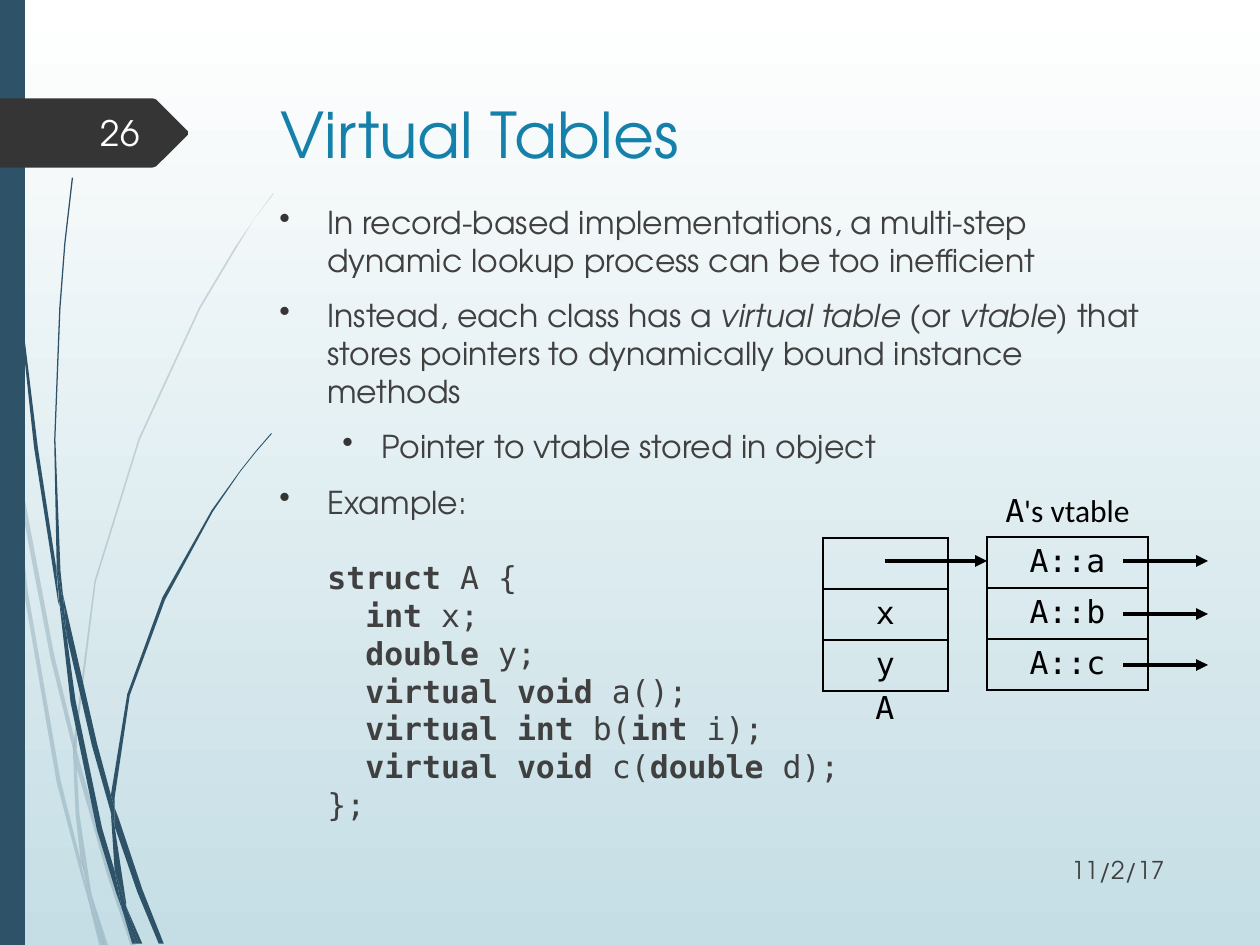
from lxml import etree
from pptx import Presentation, util as u
from pptx.dml.color import RGBColor
from pptx.enum import shapes as sh, text as tx
from pptx.oxml import parse_xml
from pptx.oxml.ns import nsdecls, qn

PX = 914400 // 126      # slide pixels
FINE = 9144             # hundredths of an inch, for the thin outlines
SANS, MONO, CALI = "TeX Gyre Adventor", "DejaVu Sans Mono", "Calibri"
COLORS = {"teal": "2E5369", "tag": "353535", "title": "1581AA", "body": "404040",
          "pale": "FEFFFF", "black": "000000", "white": "FFFFFF", "sky": "C5DEE5"}

# Outlines as x,y pairs
FAINT = [
    "8,350 6,322 0,282 0,299 7,344",
    "40,522 59,599 59,586 43,520 10,345 12,376",
    "64,607 61,596 61,610 85,694 104,751 108,751 88,692",
    "83,751 86,751 73,711",
    "64,683 48,619 22,469 12,376 8,350 19,470 45,621 64,693 70,714 69,707",
    "58,599 60,646 64,683 67,692 73,711 72,706 63,646 61,610 61,608",
    "61,584 76,462 111,349 159,245 187,198 201,175 217,154 217,153 201,175 186,197 "
    "158,244 110,348 75,461 59,584 59,586 61,596",
    "70,714 79,751 82,751",
    "61,608 61,610 61,596 59,586 58,599",
    "67,692 65,683 69,707 70,714 82,751 83,751 73,711",
]
DARK = [
    "5,110 14,233 27,355 46,477 47,481 45,457 45,453 30,355 15,232 6,109 4,48 3,0 2,0 3,48",
    "73,592 88,645 88,633 88,631 77,590 50,472 53,505",
    "94,649 91,641 91,656 109,708 126,749 130,749 113,706",
    "91,691 81,657 60,556 53,505 47,477 56,557 77,659 92,708 97,722 96,717",
    "50,472 48,453 44,349 48,245 52,193 58,141 57,141 51,193 47,245 43,349 45,449 49,472",
    "110,749 113,749 100,719",
    "47,477 53,505 50,472 49,472 45,449 45,453",
    "91,633 103,552 131,476 169,406 191,374 203,359 216,344 215,344 203,358 191,373 "
    "168,405 129,474 101,551 88,631 91,641",
    "97,722 105,749 108,749",
    "88,645 91,691 96,706 100,719 100,716 91,656 90,651",
    "88,645 90,651 91,656 91,641 88,631 88,633",
    "96,706 91,691 96,717 97,722 108,749 110,749 100,719",
]
TAG = "149,107 124,132 121,133 0,133 0,78 121,78 124,79 149,104"

BULLETS = [
    ("In record-based implementations, a multi-step dynamic lookup process "
     "can be too inefficient", 0),
    ("Instead, each class has a *virtual table* (or *vtable*) that stores pointers "
     "to dynamically bound instance methods", 0),
    ("Pointer to vtable stored in object", 1),
    ("Example:", 0),
]
CODE = ("*struct *A {\n  *int* x;\n  *double* y;\n  *virtual void* a();\n"
        "  *virtual int* b(*int *i);\n  *virtual void* c(*double* d);\n};")


def rgb(name):
    return RGBColor.from_string(COLORS[name])


def write(para, words, size=18, font=SANS, color="black", align="LEFT", mark="bold"):
    """Add text; parts between asterisks get the marked style."""
    para.alignment = getattr(tx.PP_ALIGN, align)
    for i, part in enumerate(words.split("*")):
        for j, line in enumerate(part.split("\n")):
            if j:
                para.add_line_break()
            if line:
                run = para.add_run()
                run.text = line
                face = run.font
                face.name, face.size = font, u.Pt(size)
                face.color.rgb = rgb(color)
                if i % 2:
                    setattr(face, mark, True)


def label(slide, box, words, anchor="TOP", wrap=True, **fmt):
    frame = slide.shapes.add_textbox(*(n * PX for n in box)).text_frame
    frame.word_wrap = wrap
    frame.vertical_anchor = getattr(tx.MSO_ANCHOR, anchor)
    if words:
        write(frame.paragraphs[0], words, **fmt)
    return frame


def paint(shape, color, alpha=None):
    shape.shadow.inherit = False
    shape.fill.solid()
    shape.fill.fore_color.rgb = rgb(color)
    shape.line.fill.background()
    if alpha:
        tone = next(shape._element.spPr.iter(qn("a:srgbClr")))
        etree.SubElement(tone, qn("a:alpha"), val=str(alpha * 1000))


def outline(shapes, pairs, color, alpha=None):
    pts = [tuple(map(int, pair.split(","))) for pair in pairs.split()]
    form = shapes.build_freeform(*pts[0], scale=FINE)
    form.add_line_segments(pts[1:], close=True)
    paint(form.convert_to_shape(), color, alpha)


def indent(para, left, hang, bullet=True):
    props = para._p.get_or_add_pPr()
    props.set("marL", str(left * PX))
    props.set("indent", str(-hang * PX))
    if bullet:
        props.append(parse_xml(f'<a:buClr {nsdecls("a")}><a:srgbClr val="{COLORS["tag"]}"/></a:buClr>'))
        props.append(parse_xml(f'<a:buChar {nsdecls("a")} char="&#8226;"/>'))


def border(cell, sides):
    props = cell._tc.get_or_add_tcPr()
    for side in "LRTB":
        fill = (f'<a:solidFill><a:srgbClr val="{COLORS["black"]}"/></a:solidFill>'
                if side in sides else "<a:noFill/>")
        props.append(parse_xml(f'<a:ln{side} {nsdecls("a")} w="12700">{fill}</a:ln{side}>'))


def grid(slide, left, top, width, rows, head=False, high=51):
    """Draw one column of cells; a head cell has only a bottom border."""
    table = slide.shapes.add_table(len(rows), 1, left * PX, top * PX, width * PX,
                                   len(rows) * high * PX).table
    table.first_row = table.horz_banding = False
    for i, runs in enumerate(rows):
        cell = table.cell(i, 0)
        border(cell, "B" if head and i == 0 else "LRTB")
        cell.fill.background()
        for words, font in runs:
            write(cell.text_frame.paragraphs[0], words, font=font, align="CENTER")


def arrow(slide, x, y, end):
    line = slide.shapes.add_connector(sh.MSO_CONNECTOR.STRAIGHT, x * PX, y * PX, end * PX, y * PX)
    line.line.width = u.Pt(2.25)
    line.line.color.rgb = rgb("black")
    etree.SubElement(line.line._get_or_add_ln(), qn("a:tailEnd"), type="triangle")
    etree.SubElement(line._element.spPr, qn("a:effectLst"))


def backdrop(slide):
    fill = slide.background.fill
    fill.gradient()
    fill.gradient_angle = 270
    for stop, name in zip(fill.gradient_stops, ("white", "sky")):
        stop.color.rgb = rgb(name)
    for blades, alpha in ((FAINT, 20), (DARK, None)):
        group = slide.shapes.add_group_shape()
        for pairs in blades:
            outline(group.shapes, pairs, "teal", alpha)
    bar = slide.shapes.add_shape(sh.MSO_SHAPE.RECTANGLE, 0, 0, 25 * PX, 945 * PX)
    paint(bar, "teal")
    outline(slide.shapes, TAG, "tag")


def content(slide):
    title = slide.shapes.title
    title.left, title.top, title.width, title.height = (n * PX for n in (268, 86, 908, 94))
    title.text_frame.vertical_anchor = tx.MSO_ANCHOR.MIDDLE
    write(title.text_frame.paragraphs[0], "Virtual Tables", size=36, font=SANS, color="title")

    # Bullets, then the code under the last one
    frame = label(slide, (267, 197, 908, 649), "")
    for i, (words, level) in enumerate(BULLETS):
        para = frame.add_paragraph() if i else frame.paragraphs[0]
        para.level = level
        para.space_before = u.Pt(10)
        indent(para, *((102, 39) if level else (48, 48)))
        write(para, words, color="body", mark="italic")
    code = frame.add_paragraph()
    code.space_before = u.Pt(21.6)
    indent(code, 48, 0, bullet=False)
    write(code, CODE, font=MONO, color="body")


def diagram(slide):
    grid(slide, 823, 538, 125, [[], [("x", MONO)], [("y", MONO)]])
    slots = [[("A::" + name, MONO)] for name in "abc"]
    grid(slide, 987, 486, 161, [[("A", MONO), ("'s vtable", CALI)]] + slots, head=True)
    arrow(slide, 885, 561, 987)
    for y in (561, 614, 665):
        arrow(slide, 1123, y, 1208)
    label(slide, (863, 682, 43, 50), "A", wrap=False, font=MONO)


def main():
    deck = Presentation()
    deck.slide_width, deck.slide_height = u.Inches(10), u.Inches(7.5)
    slide = deck.slides.add_slide(deck.slide_layouts[5])
    backdrop(slide)
    content(slide)
    # Date and slide number
    label(slide, (1009, 845, 168, 50), "11/2/17", "MIDDLE", size=14, color="body", align="RIGHT")
    label(slide, (71, 108, 81, 50), "26", "MIDDLE", size=20, color="pale", align="RIGHT")
    diagram(slide)
    deck.save("out.pptx")


main()
